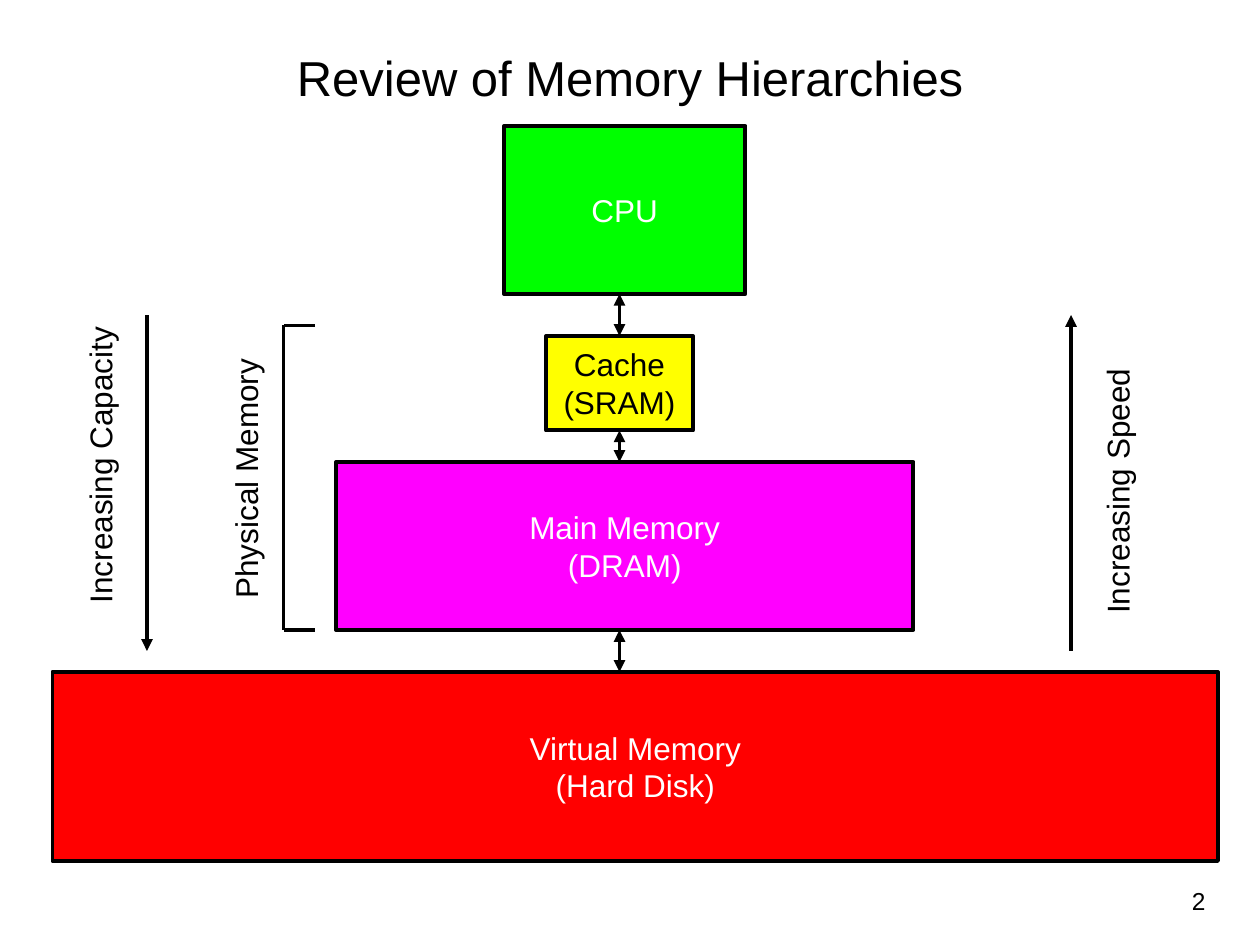
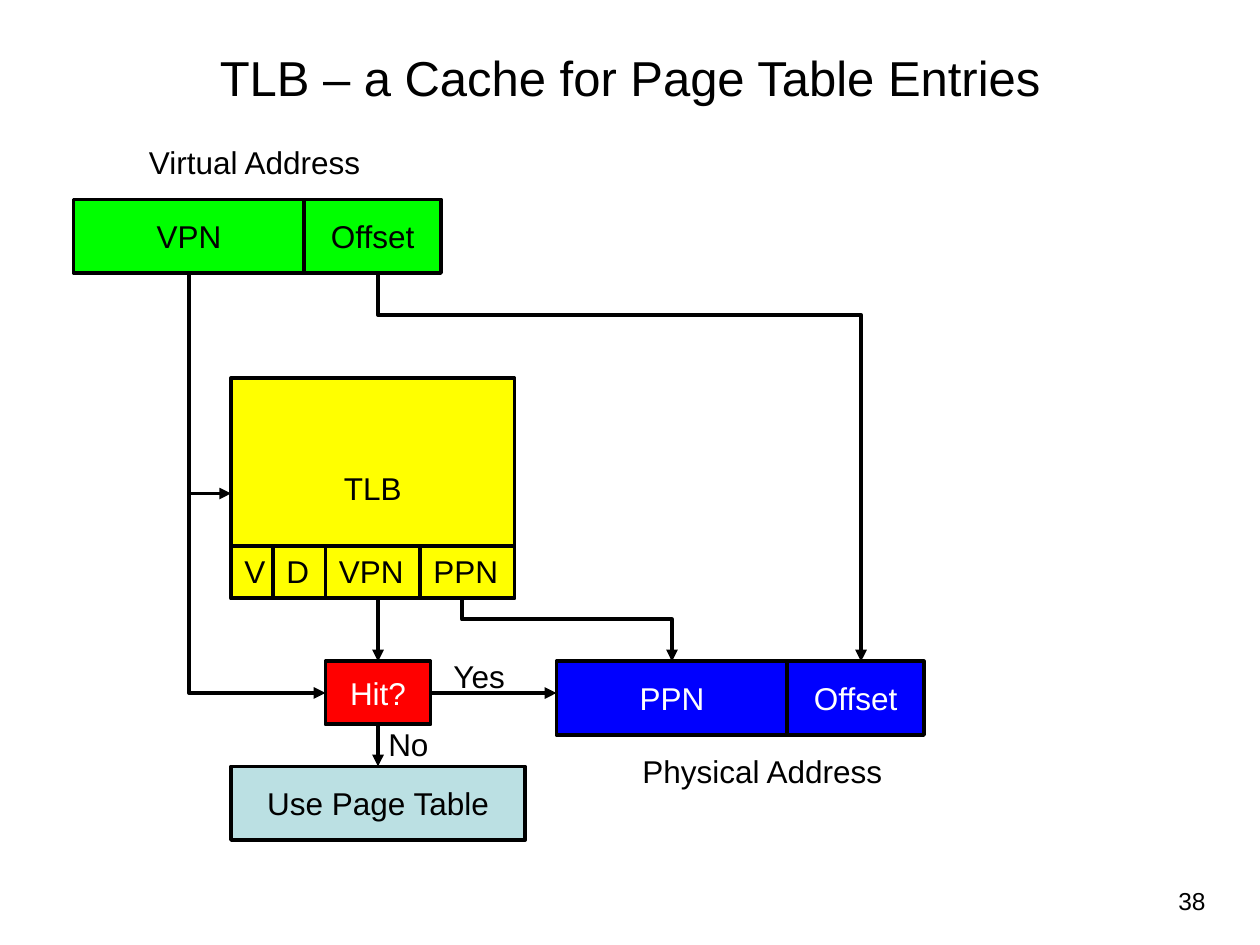
"""Builds two slides on memory hierarchies and the TLB, laid out on a grid of 120 columns by 90 rows."""
from lxml.etree import SubElement
from pptx import Presentation
from pptx.dml.color import RGBColor
from pptx.enum.shapes import MSO_CONNECTOR as Link, MSO_SHAPE as Shape
from pptx.enum.text import MSO_ANCHOR as Anchor, MSO_AUTO_SIZE as Fit, PP_ALIGN as Align
from pptx.oxml.ns import qn
from pptx.util import Inches, Pt

BLACK = RGBColor(0x00, 0x00, 0x00)
WHITE = RGBColor(0xFF, 0xFF, 0xFF)
GREEN = RGBColor(0x00, 0xFF, 0x00)
YELLOW = RGBColor(0xFF, 0xFF, 0x00)
MAGENTA = RGBColor(0xFF, 0x00, 0xFF)
RED = RGBColor(0xFF, 0x00, 0x00)
BLUE = RGBColor(0x00, 0x00, 0xFF)
PALE_TEAL = RGBColor(0xBB, 0xE0, 0xE3)
COLUMNS = 120
TITLE_ONLY = 5


class Diagram:
    font = "Arial"
    text_size = Pt(18)
    title_size = Pt(28)
    number_size = Pt(14)
    stroke = Pt(2.25)
    label_height = 4.8

    def __init__(self):
        self.deck = Presentation()
        self.deck.slide_width, self.deck.slide_height = Inches(10), Inches(7.5)
        self.cell = self.deck.slide_width // COLUMNS
        self.page = None

    def grid(self, *units):
        return [round(unit * self.cell) for unit in units]

    def set_text(self, frame, text, size, color=BLACK, align=Align.LEFT, anchor=Anchor.TOP, wrap=False):
        frame.word_wrap = wrap
        frame.auto_size = Fit.NONE
        frame.vertical_anchor = anchor
        for index, line in enumerate(text.split("\n")):
            para = frame.add_paragraph() if index else frame.paragraphs[0]
            para.alignment = align
            span = para.add_run()
            span.text = line
            span.font.name, span.font.size = self.font, size
            span.font.color.rgb = color

    def start_page(self, title, number):
        self.page = self.deck.slides.add_slide(self.deck.slide_layouts[TITLE_ONLY])
        heading = self.page.shapes.title
        heading.left, heading.top, heading.width, heading.height = self.grid(6, 3.6, 108, 7.4)
        self.set_text(heading.text_frame, title, self.title_size,
                      align=Align.CENTER, anchor=Anchor.MIDDLE, wrap=True)
        footer = self.page.shapes.add_textbox(*self.grid(88, 83.8, 28, 4.2))
        self.set_text(footer.text_frame, str(number), self.number_size, align=Align.RIGHT, wrap=True)

    def box(self, text, column, row, width, height, fill, color=BLACK):
        box = self.page.shapes.add_shape(Shape.RECTANGLE, *self.grid(column, row, width, height))
        box.shadow.inherit = False
        box.fill.solid()
        box.fill.fore_color.rgb = fill
        self.style_line(box)
        self.set_text(box.text_frame, text, self.text_size, color, Align.CENTER, Anchor.MIDDLE)

    def address(self, page_part, column, row, fill, color=BLACK):
        self.box(page_part, column, row, 22, 7, fill, color)
        self.box("Offset", column + 22, row, 13, 7, fill, color)

    def label(self, text, column, row, width):
        label = self.page.shapes.add_textbox(*self.grid(column, row, width, self.label_height))
        self.set_text(label.text_frame, text, self.text_size)
        return label

    def upright_label(self, text, center_column, center_row, width):
        label = self.label(text, center_column - width / 2,
                           center_row - self.label_height / 2, width)
        label.rotation = 270

    def style_line(self, shape, ends=()):
        shape.line.color.rgb = BLACK
        shape.line.width = self.stroke
        outline = shape._element.spPr.find(qn("a:ln"))
        for end in ends:
            SubElement(outline, qn(f"a:{end}End"), type="triangle")

    def line(self, start, finish, *ends):
        line = self.page.shapes.add_connector(Link.STRAIGHT, *self.grid(*start, *finish))
        self.style_line(line, ends)
        SubElement(line._element.spPr, qn("a:effectLst"))

    def route(self, *points):
        builder = self.page.shapes.build_freeform(*points[0], scale=self.cell)
        builder.add_line_segments(points[1:], close=False)
        route = builder.convert_to_shape()
        route.shadow.inherit = False
        route.fill.background()
        self.style_line(route, ["tail"])


def draw_hierarchy(diagram):
    diagram.start_page("Review of Memory Hierarchies", 2)
    diagram.box("CPU", 48, 12, 23, 16, GREEN, WHITE)
    diagram.box("Cache\n(SRAM)", 52, 32, 14, 9, YELLOW)
    diagram.box("Main Memory\n(DRAM)", 32, 44, 55, 16, MAGENTA, WHITE)
    diagram.box("Virtual Memory\n(Hard Disk)", 5, 64, 111, 18, RED, WHITE)
    for upper, lower in ((28, 32), (41, 44), (60, 64)):
        diagram.line((59, upper), (59, lower), "head", "tail")

    diagram.line((102, 62), (102, 30), "tail")
    diagram.upright_label("Increasing Speed", 106.4, 46.8, 25.7)
    diagram.line((14, 30), (14, 62), "tail")
    diagram.upright_label("Increasing Capacity", 9.5, 44.3, 28.7)

    bracket = [(30, 31), (27, 31), (27, 60), (30, 60)]
    for start, finish in zip(bracket, bracket[1:]):
        diagram.line(start, finish)
    diagram.upright_label("Physical Memory", 23.4, 45.6, 25.2)


def draw_tlb(diagram):
    diagram.start_page("TLB – a Cache for Page Table Entries", 38)
    diagram.label("Virtual Address", 13, 13, 22.7)
    diagram.address("VPN", 7, 19, GREEN)

    diagram.box("TLB", 22, 36, 27, 21, YELLOW)
    diagram.line((22, 52), (49, 52))
    fields = {"V": 22, "D": 26, "VPN": 31, "PPN": 40}
    for (name, column), right in zip(fields.items(), (26, 31, 40, 49)):
        diagram.label(name, column + 0.1, 52, right - column)
        if column > 22:
            diagram.line((column, 52), (column, 57))

    diagram.box("Hit?", 31, 63, 10, 6, RED, WHITE)
    diagram.box("Use Page Table", 22, 73, 28, 7, PALE_TEAL)
    diagram.address("PPN", 53, 63, BLUE, WHITE)
    diagram.label("Physical Address", 60, 71, 25.3)

    diagram.route((18, 26), (18, 47), (22, 47))
    diagram.route((18, 47), (18, 66), (31, 66))
    diagram.route((44, 57), (44, 59), (64, 59), (64, 63))
    diagram.route((36, 26), (36, 30), (82, 30), (82, 63))
    diagram.line((36, 57), (36, 63), "tail")
    diagram.line((41, 66), (53, 66), "tail")
    diagram.line((36, 69), (36, 73), "tail")
    diagram.label("Yes", 42, 62, 7.6)
    diagram.label("No", 35.8, 68.5, 6.2)


def main():
    diagram = Diagram()
    draw_hierarchy(diagram)
    draw_tlb(diagram)
    diagram.deck.save("out.pptx")


if __name__ == "__main__":
    main()
